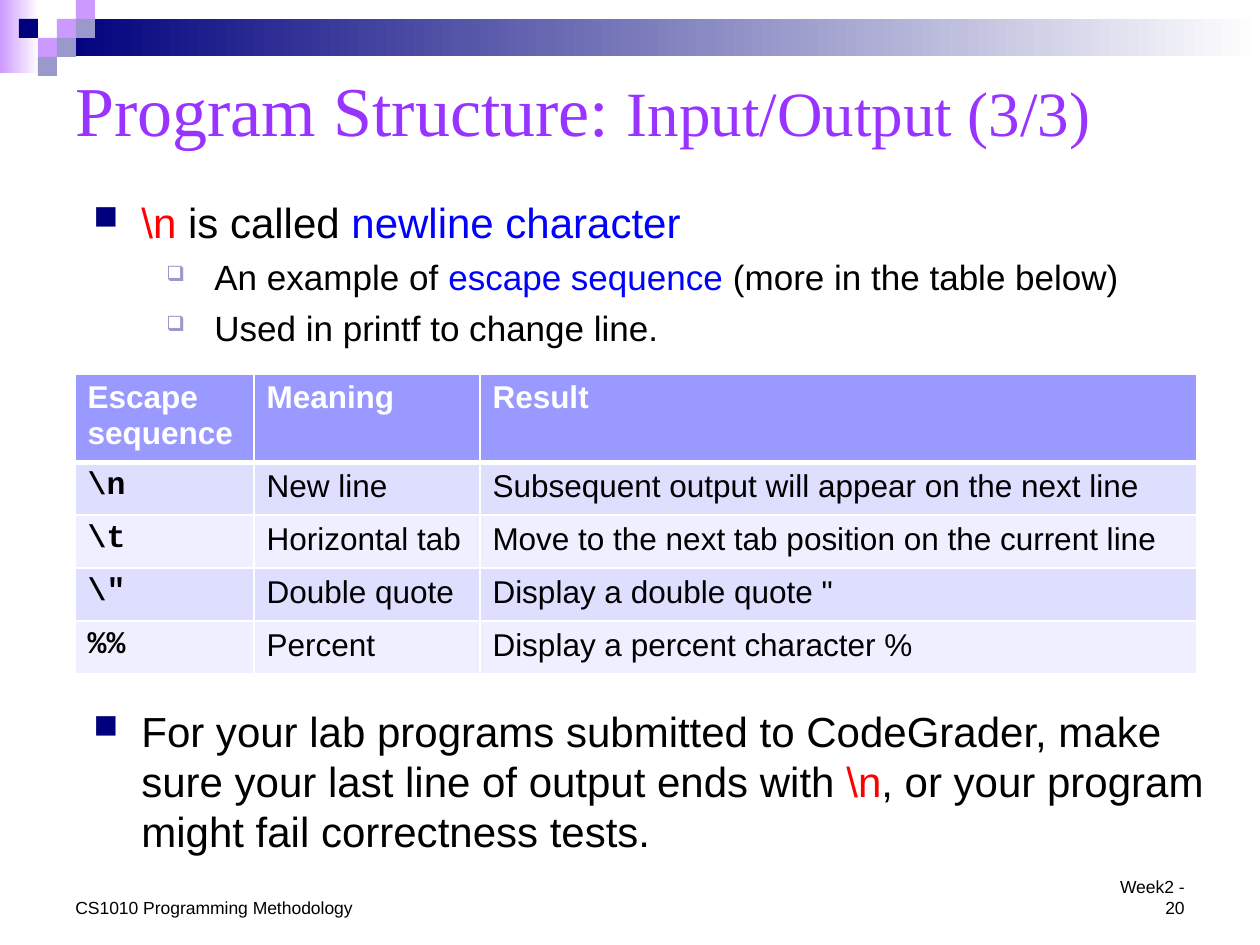
"""Build the escape sequence slide on program input and output."""
from lxml import etree
from pptx import Presentation
from pptx import util as u
from pptx.dml.color import RGBColor
from pptx.enum import shapes, text
from pptx.oxml import ns

SCALE = 914400 / 126


class Theme:
    navy, lilac, slate, white, black = "00007D", "CC99FF", "9999CC", "FFFFFF", "000000"
    red, blue, violet = "FF0000", "0000FF", "9933FF"
    header, bands = "9999FF", ("DEDEFF", "EFEFFF")
    sans, serif, mono = "Arial", "Times New Roman", "Courier New"
    title, subtitle, body, detail, cell, footer = 40, 36, 24, 20, 18, 10


def px(*lengths):
    return [u.Emu(round(length * SCALE)) for length in lengths]


def write(para, runs, size, face=Theme.sans, color=Theme.black, bold=False):
    para.font.name, para.font.size, para.font.bold = face, u.Pt(size), bold
    para.font.color.rgb = RGBColor.from_string(color)
    for words, *tint in runs:
        span = para.add_run()
        span.text = words
        if tint:
            span.font.color.rgb = RGBColor.from_string(tint[0])


deck = Presentation()
deck.slide_width, deck.slide_height = px(1260, 945)
page = deck.slides.add_slide(deck.slide_layouts[6])

bars = [((0, 0, 39, 73), Theme.lilac), ((57, 19, 1203, 37), Theme.navy)]
for place, color in bars:
    bar = page.shapes.add_shape(shapes.MSO_SHAPE.RECTANGLE, *px(*place))
    bar.shadow.inherit = False
    bar.line.fill.background()
    bar.fill.gradient()
    bar.fill.gradient_angle = 0
    for stop, tint, position in zip(bar.fill.gradient_stops, (color, Theme.white), (0, 1)):
        stop.color.rgb = RGBColor.from_string(tint)
        stop.position = position

SQUARE = 19
squares = [(3, 1, Theme.lilac), (4, 0, Theme.lilac), (4, 1, Theme.slate), (2, 2, Theme.lilac),
           (1, 1, Theme.navy), (3, 2, Theme.slate), (2, 3, Theme.slate)]
for column, row, color in squares:
    tile = page.shapes.add_shape(
        shapes.MSO_SHAPE.RECTANGLE, *px(column * SQUARE, row * SQUARE, SQUARE, SQUARE))
    tile.shadow.inherit = False
    tile.line.fill.background()
    tile.fill.solid()
    tile.fill.fore_color.rgb = RGBColor.from_string(color)

footers = [((63, 890, 305, 34), "CS1010 Programming Methodology", text.PP_ALIGN.LEFT),
           ((1091, 890, 106, 34), "Week2 - 20", text.PP_ALIGN.RIGHT)]
for place, words, align in footers:
    box = page.shapes.add_textbox(*px(*place)).text_frame
    box.word_wrap = True
    box.vertical_anchor = text.MSO_ANCHOR.BOTTOM
    box.paragraphs[0].alignment = align
    write(box.paragraphs[0], [(words,)], Theme.footer)

levels = [(48, "■", Theme.navy, 80, Theme.body), (121, "❑", Theme.slate, 60, Theme.detail)]
newline_points = [
    (0, [("\\n ", Theme.red), ("is called ",), ("newline character", Theme.blue)]),
    (1, [("An example of ",), ("escape sequence ", Theme.blue), ("(more in the table below)",)]),
    (1, [("Used in printf to change line.",)]),
]
lab_points = [
    (0, [("For your lab programs submitted to CodeGrader, make sure your last line of output "
          "ends with ",), ("\\n", Theme.red),
         (", or your program might fail correctness tests.",)]),
]
for top, points in [(190, newline_points), (699, lab_points)]:
    box = page.shapes.add_textbox(*px(81, top, 1144, 165)).text_frame
    box.word_wrap = True
    for index, (level, runs) in enumerate(points):
        margin, mark, mark_color, mark_size, size = levels[level]
        para = box.add_paragraph() if index else box.paragraphs[0]
        para.level = level
        if index:
            para.space_before = u.Pt(5)
        props = para._p.get_or_add_pPr()
        props.set("marL", str(px(margin)[0]))
        props.set("indent", str(px(-48)[0]))
        tint = etree.SubElement(props, ns.qn("a:buClr"))
        etree.SubElement(tint, ns.qn("a:srgbClr"), val=mark_color)
        etree.SubElement(props, ns.qn("a:buSzPct"), val=str(mark_size * 1000))
        etree.SubElement(props, ns.qn("a:buChar"), char=mark)
        write(para, runs, size)

rows = [
    ("Escape sequence", "Meaning", "Result"),
    ("\\n", "New line", "Subsequent output will appear on the next line"),
    ("\\t", "Horizontal tab", "Move to the next tab position on the current line"),
    ("\\\"", "Double quote", "Display a double quote \""),
    ("%%", "Percent", "Display a percent character %"),
]
frame = page.shapes.add_table(len(rows), 3, *px(75, 374, 1122, 300))
table = frame.table
for column, width in zip(table.columns, px(179, 226, 717)):
    column.width = width
for row, height in zip(table.rows, px(88, 53, 53, 53, 53)):
    row.height = height
for r, row in enumerate(rows):
    for c, words in enumerate(row):
        cell = table.cell(r, c)
        props = cell._tc.get_or_add_tcPr()
        for side in ("lnL", "lnR", "lnT", "lnB"):
            heavy = (r, side) in ((0, "lnB"), (1, "lnT"))
            edge = etree.SubElement(props, ns.qn(f"a:{side}"), w=str(u.Pt(3 if heavy else 1)))
            ink = etree.SubElement(edge, ns.qn("a:solidFill"))
            etree.SubElement(ink, ns.qn("a:srgbClr"), val=Theme.white)
        cell.fill.solid()
        cell.fill.fore_color.rgb = RGBColor.from_string(
            Theme.bands[(r - 1) % 2] if r else Theme.header)
        write(cell.text_frame.paragraphs[0], [(words,)], Theme.cell,
              face=Theme.mono if r and c == 0 else Theme.sans,
              color=Theme.black if r else Theme.white, bold=r == 0 or c == 0)

box = page.shapes.add_textbox(*px(63, 53, 1134, 111)).text_frame
box.word_wrap = True
box.vertical_anchor = text.MSO_ANCHOR.MIDDLE
heading = box.paragraphs[0]
write(heading, [("Program Structure: ",), ("Input/Output (3/3)",)],
      Theme.title, Theme.serif, Theme.violet)
heading.runs[1].font.size = u.Pt(Theme.subtitle)

deck.save("out.pptx")
